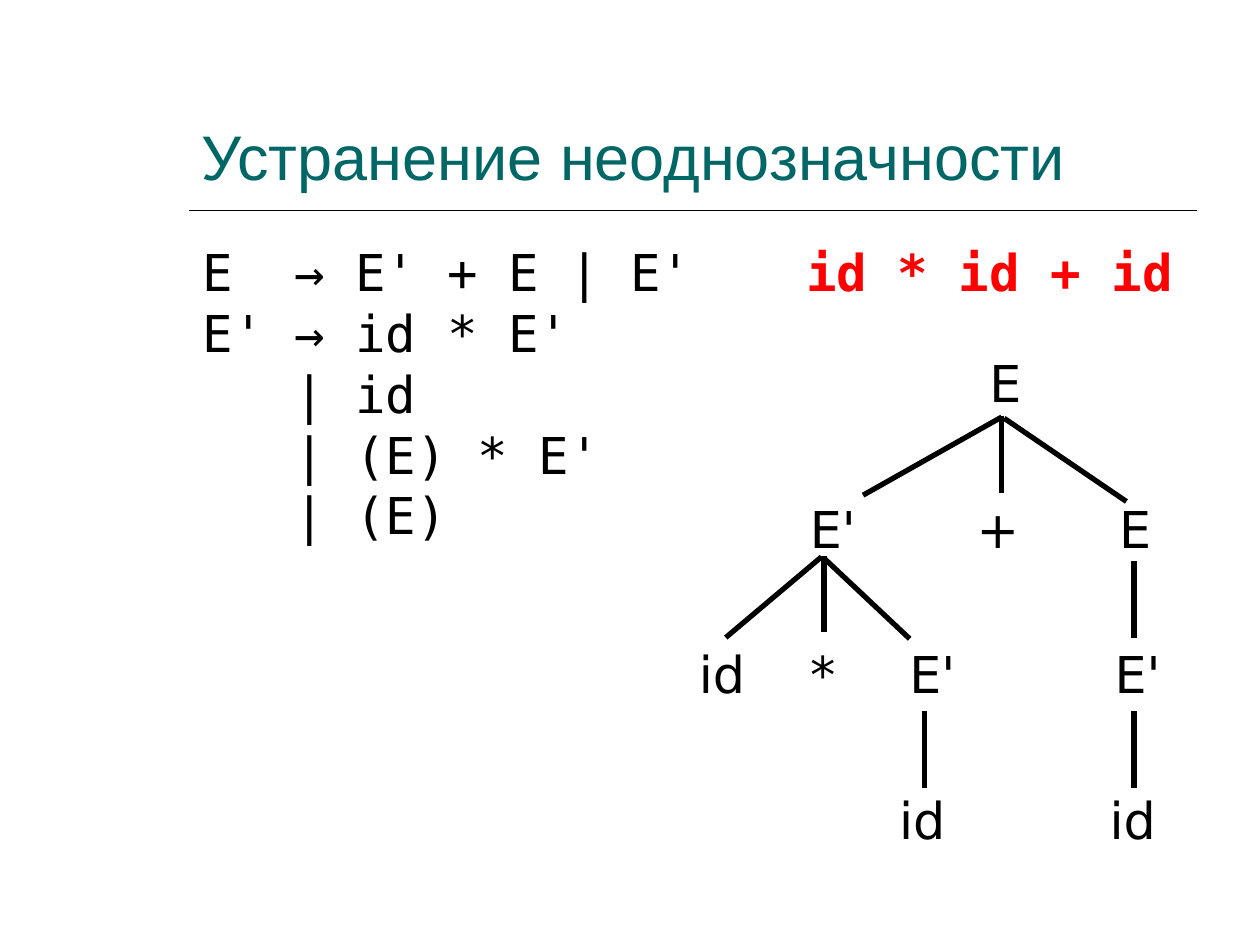
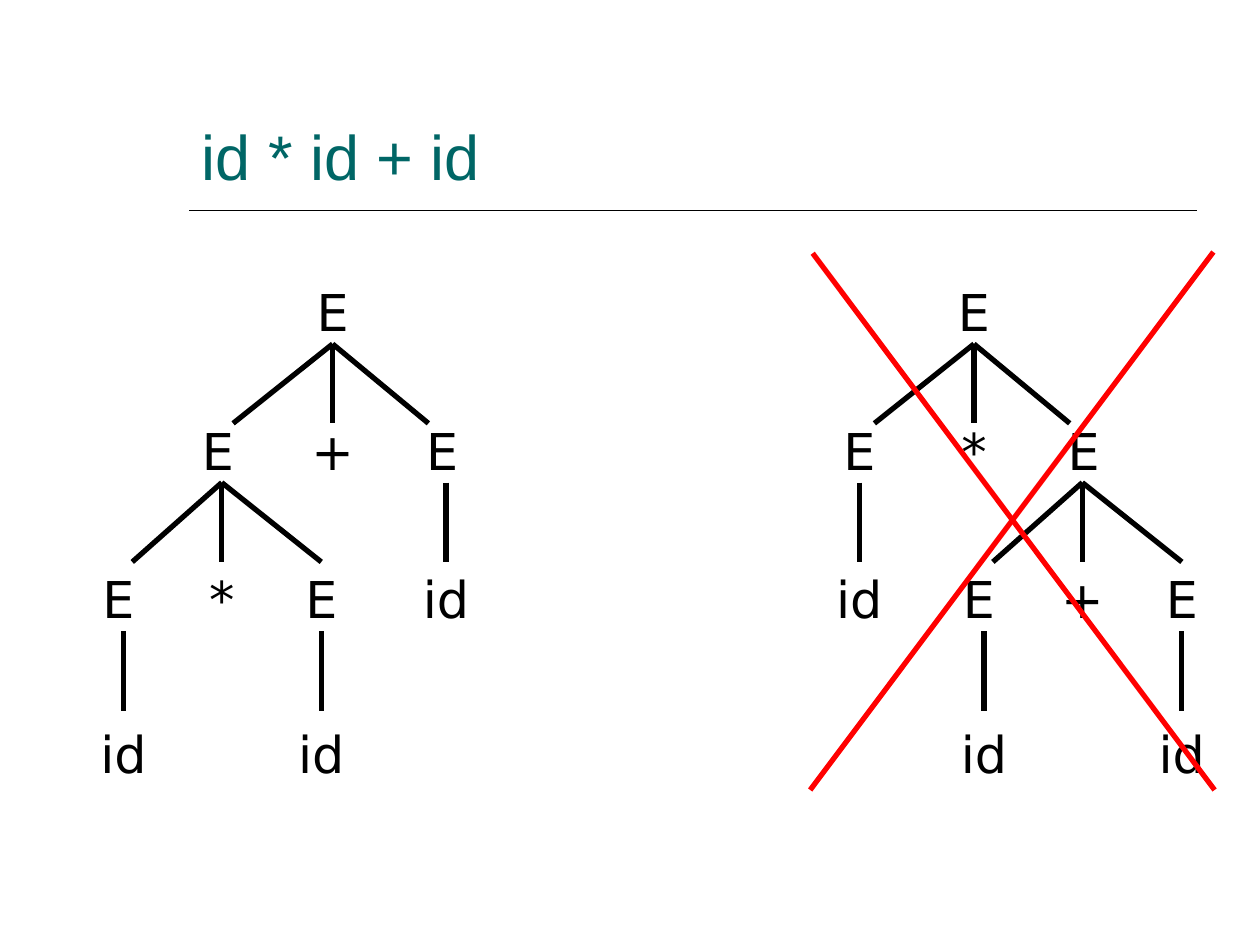
import dataclasses

import pptx
import pptx.dml.color
import pptx.enum.shapes
import pptx.enum.text
import pptx.oxml
import pptx.oxml.ns
import pptx.util

Inches = pptx.util.Inches
Pt = pptx.util.Pt
PP_ALIGN = pptx.enum.text.PP_ALIGN


@dataclasses.dataclass(frozen=True)
class Theme:
    teal: str = "006666"
    black: str = "000000"
    red: str = "FF0000"
    title_font: str = "Arial"
    tree_font: str = "DejaVu Sans"
    code_font: str = "DejaVu Sans Mono"
    title_size: int = 36
    body_size: int = 29
    rule_width: int = 1
    edge_width: int = 3
    label_height: float = 0.59


class Deck:
    def __init__(self, theme):
        self.theme = theme
        self.prs = pptx.Presentation()
        self.prs.slide_width = Inches(10)
        self.prs.slide_height = Inches(7.5)
        self.s = None

    def slide(self, title):
        t = self.theme
        self.s = self.prs.slides.add_slide(self.prs.slide_layouts[5])
        sp = self.s.shapes.title
        sp.left, sp.top = Inches(1.5), Inches(0.33)
        sp.width, sp.height = Inches(8), Inches(1.25)
        tf = sp.text_frame
        tf.text = title
        tf.vertical_anchor = pptx.enum.text.MSO_ANCHOR.BOTTOM
        self.format(tf, t.title_font, t.title_size, t.teal)
        self.line((1.5, 1.67), (9.5, 1.67), t.black, t.rule_width)

    def format(self, tf, font, size, color, bold=False, align=PP_ALIGN.LEFT):
        for p in tf.paragraphs:
            p.alignment = align
            for r in p.runs:
                r.font.name = font
                r.font.size = Pt(size)
                r.font.bold = bold
                r.font.color.rgb = pptx.dml.color.RGBColor.from_string(color)

    def textbox(self, text, left, top, width, height):
        sp = self.s.shapes.add_textbox(
            Inches(left), Inches(top), Inches(width), Inches(height))
        tf = sp.text_frame
        tf.word_wrap = True
        tf.auto_size = pptx.enum.text.MSO_AUTO_SIZE.SHAPE_TO_FIT_TEXT
        tf.text = text
        return tf

    def code(self, text, left, top, width, height, color, bold=False):
        tf = self.textbox(text, left, top, width, height)
        self.format(tf, self.theme.code_font, self.theme.body_size, color, bold)

    def node(self, text, center, top):
        t = self.theme
        width = 0.55 if len(text) == 1 else 0.74
        tf = self.textbox(text, center - width / 2, top, width, t.label_height)
        self.format(tf, t.tree_font, t.body_size, t.black, align=PP_ALIGN.CENTER)

    def row(self, top, *nodes):
        for text, center in nodes:
            self.node(text, center, top)

    def line(self, start, end, color, width):
        cxn = self.s.shapes.add_connector(
            pptx.enum.shapes.MSO_CONNECTOR.STRAIGHT,
            *(Inches(v) for v in (*start, *end)))
        cxn.line.color.rgb = pptx.dml.color.RGBColor.from_string(color)
        cxn.line.width = Pt(width)
        spPr = cxn._element.spPr
        spPr.append(pptx.oxml.parse_xml(
            f"<a:effectLst {pptx.oxml.ns.nsdecls('a')}/>"))

    def edge(self, start, end):
        self.line(start, end, self.theme.black, self.theme.edge_width)

    def stem(self, x, top, length):
        self.edge((x, top), (x, top + length))

    def expression_tree(self, left, outer, inner, inner_left, leaf):
        row_tops = (2.18, 3.28, 4.46, 5.69)
        edge_tops = (2.73, 3.83, 5.01)
        drop = 0.63
        root = left + 0.91
        self.row(row_tops[0], ("E", root))
        self.row(row_tops[1], ("E", left), (outer, root), ("E", left + 1.78))
        self.row(row_tops[2], ("E", inner_left), (inner, inner_left + 0.82),
                 ("E", inner_left + 1.61), ("id", leaf))
        self.row(row_tops[3], ("id", inner_left + 0.04), ("id", inner_left + 1.61))

        branches = ((root, edge_tops[0], (-0.79, 0, 0.76)),
                    (inner_left + 0.82, edge_tops[1], (-0.71, 0, 0.79)))
        for apex, top, offsets in branches:
            for dx in offsets:
                self.edge((apex, top), (apex + dx, top + drop))
        self.stem(leaf, edge_tops[1], drop)
        for dx in (0.04, 1.61):
            self.stem(inner_left + dx, edge_tops[2], drop)


def ambiguity_slide(deck):
    t = deck.theme
    deck.slide("Устранение неоднозначности")
    grammar = ("E  → E' + E | E'",
               "E' → id * E'",
               "   | id",
               "   | (E) * E'",
               "   | (E)")
    deck.code("\n".join(grammar), 1.51, 1.86, 4.49, 2.52, t.black)
    deck.code("id * id + id", 6.3, 1.86, 3.49, t.label_height, t.red, True)

    deck.row(2.74, ("E", 7.98))
    deck.row(3.9, ("E'", 6.61), ("+", 7.92), ("E", 9.01))
    deck.row(5.05, ("id", 5.73), ("*", 6.53), ("E'", 7.4), ("E'", 9.03))
    deck.row(6.21, ("id", 7.32), ("id", 8.99))

    deck.edge((7.95, 3.31), (6.85, 3.93))
    deck.edge((7.97, 3.32), (8.94, 3.98))
    deck.edge((6.52, 4.42), (5.76, 5.06))
    deck.edge((6.55, 4.44), (7.22, 5.07))
    for x, top in ((7.95, 3.3), (6.54, 4.41), (9, 4.45), (7.34, 5.64), (9, 5.64)):
        deck.stem(x, top, 0.61)


def parse_trees_slide(deck):
    t = deck.theme
    deck.slide("id * id + id")
    deck.expression_tree(1.73, "+", "*", inner_left=0.94, leaf=3.54)
    deck.expression_tree(6.82, "*", "+", inner_left=7.77, leaf=6.82)
    deck.line((6.45, 2.01), (9.64, 6.27), t.red, t.edge_width)
    deck.line((9.63, 2), (6.43, 6.27), t.red, t.edge_width)


def main():
    deck = Deck(Theme())
    ambiguity_slide(deck)
    parse_trees_slide(deck)
    deck.prs.save("out.pptx")


if __name__ == "__main__":
    main()
